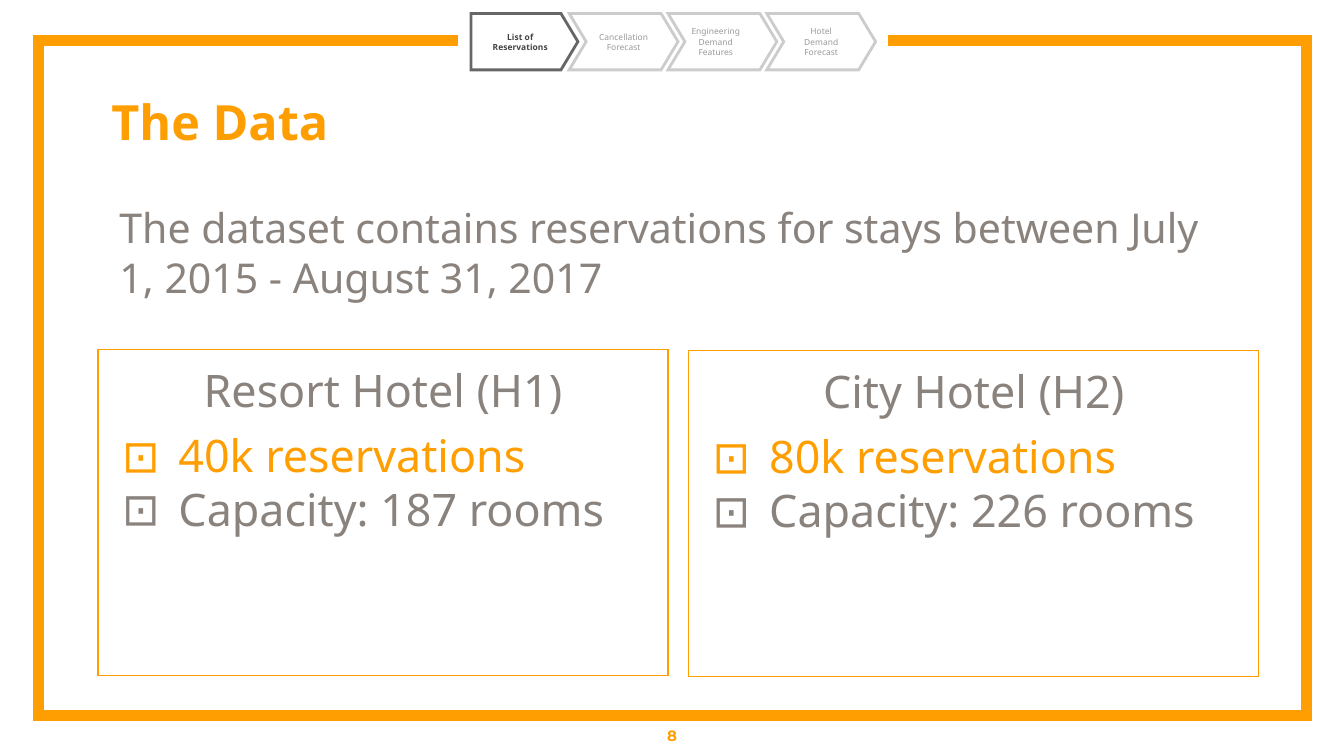
from lxml.etree import SubElement
from pptx import Presentation
from pptx.dml.color import RGBColor
from pptx.enum.shapes import MSO_SHAPE
from pptx.enum.text import MSO_ANCHOR, PP_ALIGN
from pptx.oxml.ns import qn
from pptx.util import Emu, Pt

PX = 4572
ORANGE = RGBColor(0xFF, 0x9E, 0x00)
TAUPE = RGBColor(0x8A, 0x82, 0x7D)
DARK = RGBColor(0x66, 0x66, 0x66)
INK = RGBColor(0x43, 0x43, 0x43)
PALE = RGBColor(0xCC, 0xCC, 0xCC)
GREY = RGBColor(0x99, 0x99, 0x99)
WHITE = RGBColor(0xFF, 0xFF, 0xFF)
SANS = "Noto Sans"

STEPS = [
    ("List of Reservations", 20, 20),
    ("Cancellation Forecast", 0, 0),
    ("Engineering Demand Features", 0, 20),
    ("Hotel Demand Forecast", 20, 20),
]
HOTELS = [
    (146, 520, "Resort Hotel (H1)", "40k reservations", "Capacity: 187 rooms"),
    (1025, 522, "City Hotel (H2)", "80k reservations", "Capacity: 226 rooms"),
]


def px(*vals):
    """Turn px lengths into EMU."""
    return [Emu(val * PX) for val in vals]


def style(para, size, color, bold=False, align=PP_ALIGN.LEFT, face=SANS):
    """Format a paragraph and its runs."""
    para.alignment = align
    for run in para.runs:
        font = run.font
        font.size, font.bold, font.name = Pt(size), bold, face
        font.color.rgb = color


def setup(shape, left=20, right=20, anchor=MSO_ANCHOR.TOP):
    """Set wrap, insets and anchor, and return the text frame."""
    frame = shape.text_frame
    frame.word_wrap = True
    frame.vertical_anchor = anchor
    frame.margin_left, frame.margin_right = px(left, right)
    frame.margin_top, frame.margin_bottom = px(20, 20)
    return frame


def outline(shape, color, width):
    """Give a shape a sharp outline without fill or shadow."""
    shape.shadow.inherit = False
    shape.fill.background()
    shape.line.color.rgb = color
    shape.line.width = Pt(width)
    edge = shape._element.spPr.find(qn("a:ln"))
    SubElement(edge, qn("a:miter"), lim="800000")


def bullet(para, color):
    """Add a boxed dot bullet with a hanging indent."""
    props = para._p.get_or_add_pPr()
    left, hang = px(100, -84)
    props.set("marL", str(left))
    props.set("indent", str(hang))
    tint = SubElement(props, qn("a:buClr"))
    SubElement(tint, qn("a:srgbClr"), val=str(color))
    SubElement(props, qn("a:buFont"), typeface=SANS)
    SubElement(props, qn("a:buChar"), char="⊡")


def border(slide, x, y, w, h):
    """Draw the thick border, open at the top for the steps."""
    pen = slide.shapes.build_freeform(x + 624, y, scale=PX)
    pen.add_line_segments(
        [(x, y), (x, y + h), (x + w, y + h), (x + w, y), (x + w - 622, y)],
        close=False,
    )
    outline(pen.convert_to_shape(), ORANGE, 6)


def label(slide, box, text, size, color, anchor=MSO_ANCHOR.TOP, **look):
    """Place one paragraph of text in a box."""
    frame = setup(slide.shapes.add_textbox(*px(*box)), anchor=anchor)
    frame.text = text
    style(frame.paragraphs[0], size, color, **look)


def steps(slide, x, y, w, h):
    """Draw the row of step arrows with the first one active."""
    for i, (text, left, right) in enumerate(STEPS):
        first = i == 0
        kind = MSO_SHAPE.PENTAGON if first else MSO_SHAPE.CHEVRON
        wide = w - 3 if first else w
        box = px(x + i * 440 // 3, y, wide, h)
        shape = slide.shapes.add_shape(kind, *box)
        shape.adjustments[0] = 0.3
        outline(shape, DARK if first else PALE, 1.5)
        frame = setup(shape, left, right, MSO_ANCHOR.MIDDLE)
        frame.text = text
        style(frame.paragraphs[0], 4.5, INK if first else GREY,
              bold=first, align=PP_ALIGN.CENTER)


def hotel(slide, x, y, w, h, name, count, rooms):
    """Draw one hotel card with its name and two bullets."""
    shape = slide.shapes.add_shape(MSO_SHAPE.RECTANGLE, *px(x, y, w, h))
    outline(shape, ORANGE, 0.75)
    frame = setup(shape)
    frame.text = "\n".join((name, count, rooms))
    head, stay, size = frame.paragraphs
    style(head, 24, TAUPE, align=PP_ALIGN.CENTER)
    for para, color in ((stay, ORANGE), (size, TAUPE)):
        bullet(para, color)
        style(para, 24, color)
    stay.space_before = Pt(6)


def main():
    """Build the slide and save it."""
    deck = Presentation()
    deck.slide_width, deck.slide_height = px(2000, 1125)
    slide = deck.slides.add_slide(deck.slide_layouts[6])
    slide.background.fill.solid()
    slide.background.fill.fore_color.rgb = WHITE
    border(slide, 57, 60, 1887, 1005)
    label(slide, (146, 117, 1688, 180), "The Data", 26, ORANGE, bold=True)
    label(slide, (0, 1065, 2000, 60), "8", 8, ORANGE, bold=True,
          align=PP_ALIGN.CENTER, face="Montserrat", anchor=MSO_ANCHOR.MIDDLE)
    steps(slide, 701, 20, 162, 84)
    for x, y, *texts in HOTELS:
        hotel(slide, x, y, 848, 485, *texts)
    label(slide, (158, 282, 1662, 188),
          "The dataset contains reservations for stays between "
          "July 1, 2015 - August 31, 2017", 22, TAUPE)
    deck.save("out.pptx")


if __name__ == "__main__":
    main()
